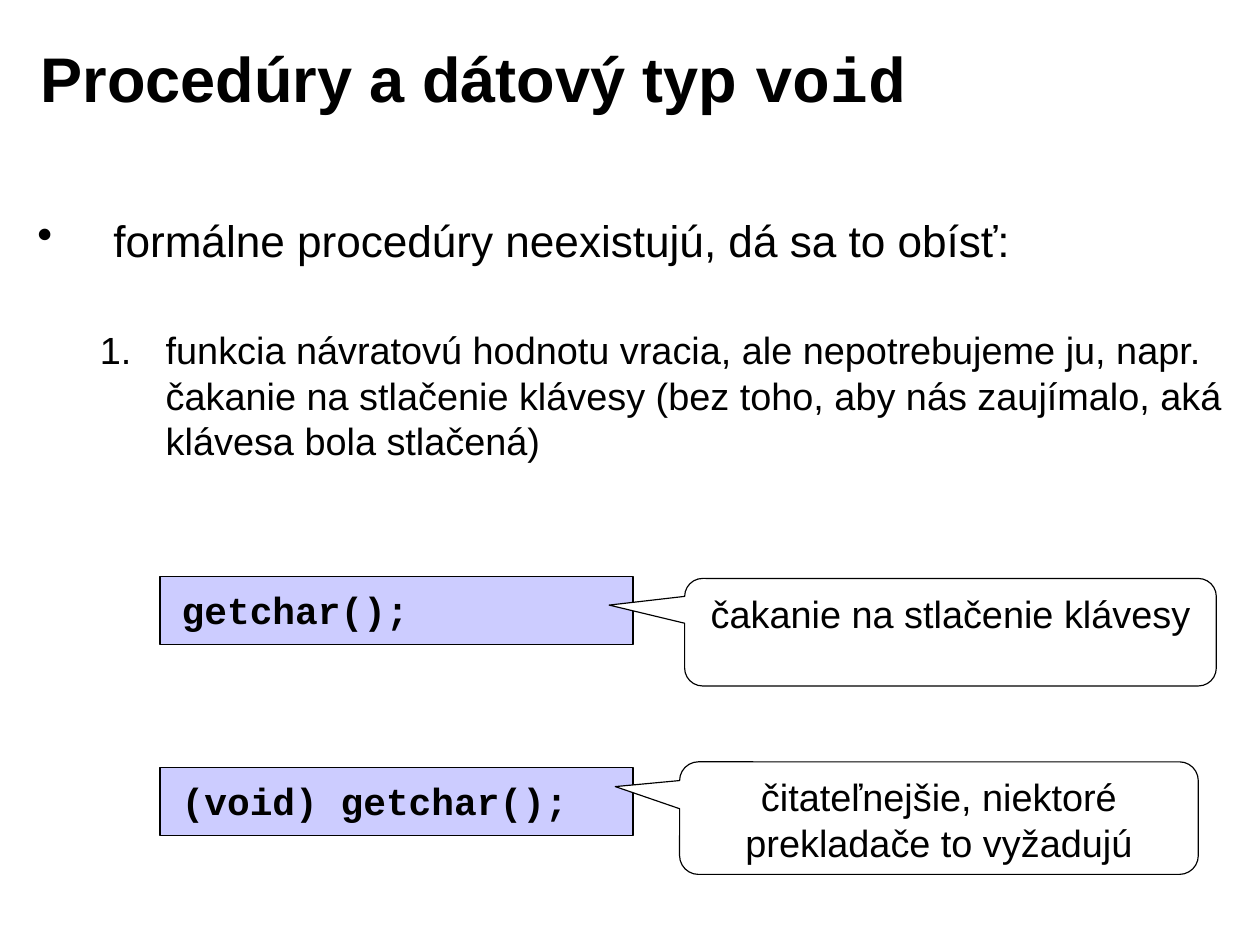
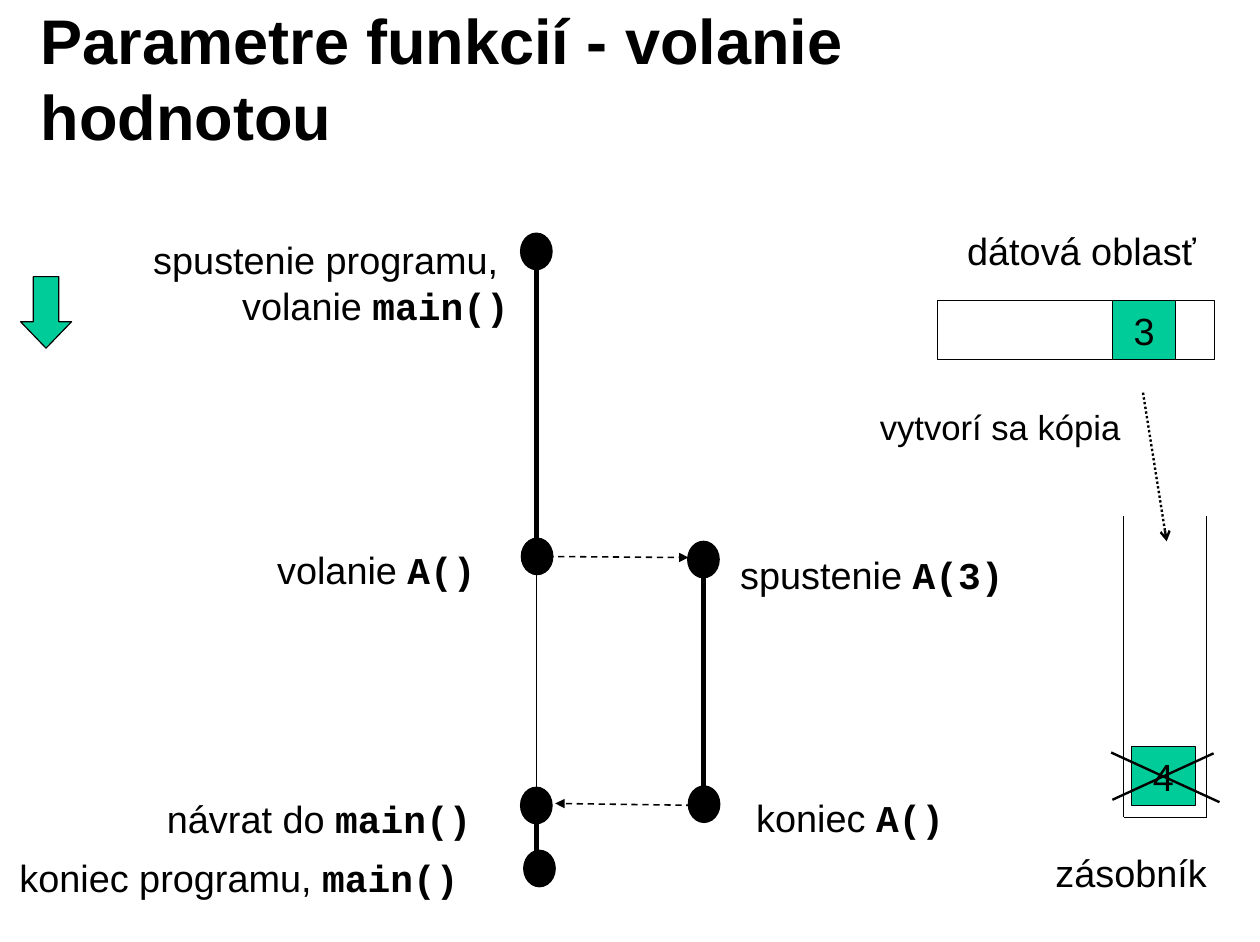
from lxml import etree
from pptx import Presentation
from pptx.dml.color import RGBColor
from pptx.enum.dml import MSO_LINE
from pptx.enum.shapes import MSO_CONNECTOR, MSO_SHAPE
from pptx.enum.text import MSO_ANCHOR as Anchor, PP_ALIGN as Align
from pptx.oxml.ns import qn
from pptx.util import Pt

COLORS = {"ink": "000000", "paper": "FFFFFF", "code": "CCCCFF", "value": "00CC99"}
SANS, MONO = "Arial", "Courier New"
WIDE_INSETS = (7.9, 4.3)
NARROW_INSETS = (7.2, 3.6)
CELL_WIDTH, CELL_HEIGHT = 40.3, 37.4


def rgb(name):
    return RGBColor.from_string(COLORS[name])


def write(shape, paragraphs, size=24, bold=None, font=SANS, align=Align.LEFT,
          anchor=Anchor.TOP, insets=WIDE_INSETS, wrap=True):
    """Each paragraph is a list of texts; every second text is code."""
    frame = shape.text_frame
    frame.word_wrap = wrap
    frame.vertical_anchor = anchor
    frame.margin_left = frame.margin_right = Pt(insets[0])
    frame.margin_top = frame.margin_bottom = Pt(insets[1])
    for index, texts in enumerate(paragraphs):
        paragraph = frame.add_paragraph() if index else frame.paragraphs[0]
        paragraph.alignment = align
        paragraph.font.size = Pt(size)
        paragraph.font.bold = bold
        paragraph.font.color.rgb = rgb("ink")
        if len(texts) == 1:
            paragraph.font.name = font
        for position, text in enumerate(texts):
            run = paragraph.add_run()
            run.text = text
            if len(texts) > 1:
                run.font.name = MONO if position % 2 else font
                if position % 2:
                    run.font.bold = True


def add_text(slide, box, paragraphs, **style):
    shape = slide.shapes.add_textbox(*map(Pt, box))
    write(shape, paragraphs, **style)
    return shape


def add_shape(slide, kind, box, fill, adjustments=()):
    shape = slide.shapes.add_shape(kind, *map(Pt, box))
    shape.shadow.inherit = False
    shape.fill.solid()
    shape.fill.fore_color.rgb = rgb(fill)
    shape.line.color.rgb = rgb("ink")
    shape.line.width = Pt(0.75)
    for index, value in enumerate(adjustments):
        shape.adjustments[index] = value
    return shape


def add_line(slide, start, end, width=0.75, dash=None, arrow=None):
    line = slide.shapes.add_connector(MSO_CONNECTOR.STRAIGHT, *map(Pt, (*start, *end)))
    line.line.color.rgb = rgb("ink")
    line.line.width = Pt(width)
    if dash:
        line.line.dash_style = dash
    properties = line._element.spPr
    if arrow:
        etree.SubElement(properties.find(qn("a:ln")), qn("a:tailEnd"), type=arrow)
    etree.SubElement(properties, qn("a:effectLst"))


def add_slide(presentation, title):
    slide = presentation.slides.add_slide(presentation.slide_layouts[6])
    add_text(slide, (18, 12.2, 641.5, 73.4), [title], size=40, bold=True,
             anchor=Anchor.MIDDLE)
    return slide


def set_bullet(paragraph, left, hanging, tag, **attributes):
    properties = paragraph._p.get_or_add_pPr()
    properties.set("marL", str(Pt(left)))
    properties.set("indent", str(-Pt(hanging)))
    bullet = etree.Element(qn(tag), **attributes)
    properties.insert_element_before(bullet, "a:tabLst", "a:defRPr", "a:extLst")


def bullet_list(slide, box, heading, item):
    shape = add_text(slide, box, [[heading], [item]])
    first, second = shape.text_frame.paragraphs
    first.font.size = Pt(28)
    set_bullet(first, 48.2, 48.2, "a:buChar", char="•")
    second.level = 1
    second.space_before = Pt(38.5)
    set_bullet(second, 81.4, 41.8, "a:buAutoNum", type="arabicPeriod")


def code_example(slide, code_box, code, callout_box, pointer, remark):
    block = add_shape(slide, MSO_SHAPE.RECTANGLE, code_box, "code")
    write(block, [[code]], font=MONO, bold=True, insets=(13.7, 6.5))
    callout = add_shape(slide, MSO_SHAPE.ROUNDED_RECTANGULAR_CALLOUT, callout_box,
                        "paper", (*pointer, 0.167))
    write(callout, [[remark]], align=Align.CENTER)


def value_cell(slide, left, top, value):
    cell = add_shape(slide, MSO_SHAPE.RECTANGLE, (left, top, CELL_WIDTH, CELL_HEIGHT), "value")
    write(cell, [[value]], align=Align.CENTER, anchor=Anchor.MIDDLE)


def call_timeline(slide, left, top):
    """Life of main() on the left line and of A() on the right line."""
    main_x, called_x = left, left + 106
    start, call, back, end = top, top + 193.5, top + 351.5, top + 391.5
    # life lines: thick while running, thin while waiting
    add_line(slide, (called_x, call), (called_x, back), 3)
    add_line(slide, (main_x, call), (main_x, back), 1)
    add_line(slide, (main_x, back), (main_x, end), 3)
    add_line(slide, (main_x, start), (main_x, call), 3)
    # call and return
    for begin, finish in (((main_x, call), (called_x - 9.5, call + 0.7)),
                          ((called_x, back), (main_x + 12, back - 1.3))):
        add_line(slide, begin, finish, 1, MSO_LINE.DASH, "triangle")
    # events: dot centre, label box offset from the timeline, label
    events = [
        (main_x, start, (-253, -12.6, 242.6, 30),
         [["spustenie programu, "], ["volanie ", "main()"]], Align.RIGHT),
        (main_x + 0.5, call, (-171.5, 184, 141.8, 16.6), [["volanie ", "A()"]], Align.LEFT),
        (called_x, call + 2, (122.2, 186.8, 182.9, 16.6), [["spustenie ", "A(3)"]], Align.LEFT),
        (main_x + 2, end, (-335, 379, 295.9, 16.6), [["koniec programu, ", "main()"]], Align.LEFT),
        (main_x, back, (-241.4, 341.6, 209.5, 16.6), [["návrat do ", "main()"]], Align.LEFT),
        (called_x + 0.4, back - 0.8, (132.3, 340.9, 135.4, 16.6), [["koniec ", "A()"]], Align.LEFT),
    ]
    for x, y, (dx, dy, width, height), label, align in events:
        add_text(slide, (left + dx, top + dy, width, height), label, align=align,
                 insets=NARROW_INSETS, wrap=False)
        add_shape(slide, MSO_SHAPE.OVAL, (x - 10, y - 11.6, 20, 23.2), "ink")


def data_area(slide, left, top):
    width = 175.7
    add_shape(slide, MSO_SHAPE.RECTANGLE, (left, top, width, CELL_HEIGHT), "paper")
    value_cell(slide, left + 110.9, top, "3")
    add_text(slide, (left + 10, top - 50.4, 162.7, 37.4), [["dátová oblasť"]],
             align=Align.CENTER, wrap=False)


def copy_arrow(slide, left, top):
    add_line(slide, (left, top), (left + 15, top + 94.3), 1.5, MSO_LINE.ROUND_DOT, "arrow")
    add_text(slide, (left - 175.6, top + 5, 169.9, 16), [["vytvorí sa kópia"]], size=22,
             align=Align.CENTER, insets=NARROW_INSETS, wrap=False)


def stack(slide, left, top):
    right, bottom = left + 52.7, top + 191
    corners = [(right, top), (right, bottom), (left, bottom), (left, top)]
    for begin, finish in zip(corners, corners[1:]):
        add_line(slide, begin, finish)
    # discarded value
    value_cell(slide, left + 5, bottom - 44.7, "4")
    add_line(slide, (left - 8, bottom - 41), (left + 60.7, bottom - 9.5), 1.5)
    add_line(slide, (left - 7.2, bottom - 11), (left + 57, bottom - 40.5), 1.5)
    add_text(slide, (left - 51.8, bottom + 16.5, 113, 37.4), [["zásobník"]],
             align=Align.CENTER, wrap=False)


def void_slide(presentation):
    slide = add_slide(presentation, ["Procedúry a dátový typ ", "void"])
    bullet_list(slide, (15.8, 131, 768.5, 157.7),
                "formálne procedúry neexistujú, dá sa to obísť:",
                "funkcia návratovú hodnotu vracia, ale nepotrebujeme ju, napr. čakanie "
                "na stlačenie klávesy (bez toho, aby nás zaujímalo, aká klávesa bola stlačená)")
    code_example(slide, (101.5, 365.8, 300, 43.2), "getchar();",
                 (434.3, 367, 337.2, 68.2), (-0.642, -0.252), "čakanie na stlačenie klávesy")
    code_example(slide, (101.5, 486.7, 300, 43.2), "(void) getchar();",
                 (431.1, 483.3, 329, 71.4), (-0.624, -0.28),
                 "čitateľnejšie, niektoré prekladače to vyžadujú")


def call_by_value_slide(presentation):
    slide = add_slide(presentation, ["Parametre funkcií - volanie hodnotou"])
    call_timeline(slide, 340.2, 159.5)
    add_shape(slide, MSO_SHAPE.DOWN_ARROW, (13, 175.5, 32.4, 45.4), "value", (0.5, 0.518))
    data_area(slide, 594.7, 190.8)
    copy_arrow(slide, 725, 249.1)
    stack(slide, 712.8, 327.4)


def main():
    presentation = Presentation()
    presentation.slide_width, presentation.slide_height = Pt(799.2), Pt(597.6)
    void_slide(presentation)
    call_by_value_slide(presentation)
    presentation.save("out.pptx")


if __name__ == "__main__":
    main()
